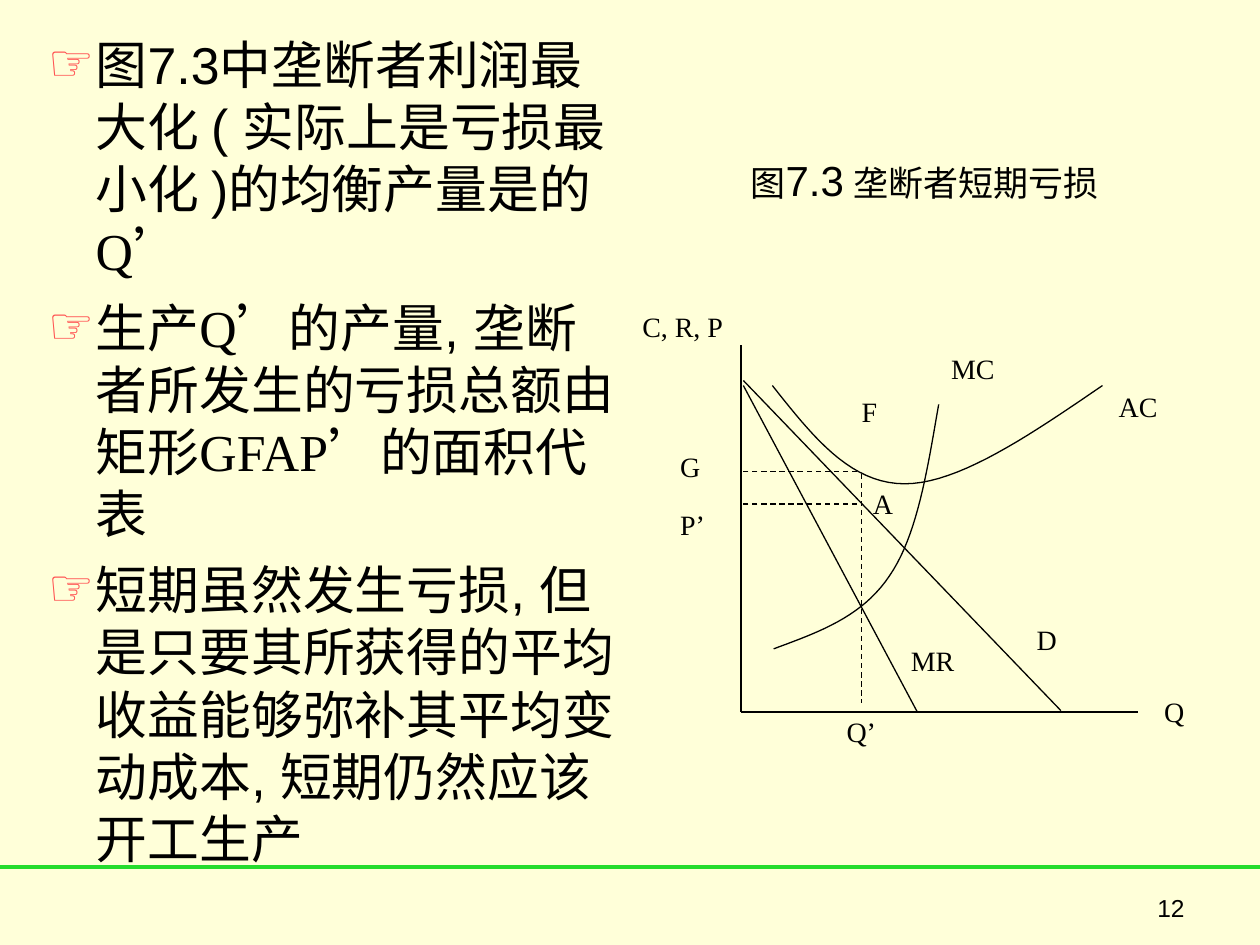
from lxml import etree
from pptx import Presentation
from pptx import util as u
from pptx.dml.color import RGBColor
from pptx.enum import dml, shapes, text
from pptx.oxml import ns

# Content: each paragraph is a list of (text, font role) runs
BODY = [
    [("图7.3中垄断者利润最大化 ( 实际上是亏损最小化 )的均衡产量是的", "sans"), ("Q’", "serif")],
    [("生产", "sans"), ("Q’", "serif"), ("的产量, 垄断者所发生的亏损总额由矩形", "sans"),
     ("GFAP’", "serif"), ("的面积代表", "sans")],
    [("短期虽然发生亏损, 但是只要其所获得的平均收益能够弥补其平均变动成本, 短期仍然应该开工生产", "sans")],
]
CAPTION = [("图", 20), ("7.3", 24), (" 垄断者短期亏损", 20)]
PAGE_NUMBER = "12"

# Diagram content, in inches right of and above the origin of the axes
ORIGIN = (5.88, 5.65)
QUANTITY, PRICE, COST = 0.96, 1.65, 1.91
SOLID_LINES = [
    ((0, 2.91), (0, 0)),            # cost and price axis
    ((0, 0), (3.15, 0)),            # quantity axis
    ((0.02, 2.63), (2.54, 0.01)),   # demand
    ((0.02, 2.59), (1.4, 0)),       # marginal revenue
]
DASHED_LINES = [
    ((QUANTITY, COST - 0.02), (QUANTITY, 0.07)),
    ((QUANTITY - 0.04, PRICE), (0.02, PRICE)),
    ((QUANTITY - 0.04, COST), (0.02, COST)),
]
CURVES = [  # start, then two Bezier segments of three points each
    [(1.57, 2.44), (1.48, 1.92), (1.4, 1.4), (1.18, 1.08),
     (0.96, 0.75), (0.61, 0.63), (0.26, 0.5)],       # marginal cost
    [(0.25, 2.59), (0.56, 2.2), (0.86, 1.81), (1.3, 1.81),
     (1.73, 1.81), (2.3, 2.2), (2.87, 2.59)],        # average cost
]
LABELS = [  # text, left, top, width
    ("MC", 1.57, 2.91, 0.79), ("AC", 2.9, 2.61, 0.61), ("Q’", 0.74, 0.03, 0.55),
    ("C, R, P", -0.88, 3.24, 0.9), ("Q", 3.26, 0.19, 0.51), ("D", 2.25, 0.76, 0.54),
    ("MR", 1.25, 0.59, 0.61), ("P’", -0.58, 1.67, 0.54), ("A", 0.95, 1.84, 0.43),
    ("F", 0.86, 2.57, 0.43), ("G", -0.58, 2.13, 0.42),
]
LABEL_HEIGHT = 0.42

THEME = {
    "background": RGBColor(0xFF, 0xFF, 0xD9), "ink": RGBColor(0, 0, 0),
    "rule": RGBColor(0x24, 0xDC, 0x2D), "bullet": "FF5050",
    "sans": "Arial", "serif": "Times New Roman",
    "body_size": 29.6, "label_size": 16, "page_size": 14,
}


def on_page(point):
    return u.Inches(ORIGIN[0] + point[0]), u.Inches(ORIGIN[1] - point[1])


def style_font(font, face, size):
    font.name, font.size = THEME[face], u.Pt(size)
    font.color.rgb = THEME["ink"]


def add_line(parent, start, end, color="ink", width=0.75, dashed=False):
    line = parent.add_connector(shapes.MSO_CONNECTOR.STRAIGHT, *start, *end)
    line.line.color.rgb, line.line.width = THEME[color], u.Pt(width)
    if dashed:
        line.line.dash_style = dml.MSO_LINE.DASH
    etree.SubElement(line._element.spPr, ns.qn("a:effectLst"))


def add_text(parent, left, top, width, height, align, wrap=True):
    frame = parent.add_textbox(left, top, u.Inches(width), u.Inches(height)).text_frame
    frame.word_wrap = wrap
    frame.paragraphs[0].alignment = align
    return frame


def bezier_points(curve, steps=20):
    points = [curve[0]]
    for first in range(0, len(curve) - 1, 3):
        a, b, c, d = curve[first:first + 4]
        for step in range(1, steps + 1):
            t = step / steps
            s = 1 - t
            points.append(tuple(
                s**3 * a[i] + 3 * s * s * t * b[i] + 3 * s * t * t * c[i] + t**3 * d[i]
                for i in (0, 1)))
    return points


def add_bullet(paragraph):
    properties = paragraph._p.get_or_add_pPr()
    properties.set("marL", str(u.Inches(0.46)))
    properties.set("indent", str(u.Inches(-0.38)))
    color = etree.SubElement(properties, ns.qn("a:buClr"))
    etree.SubElement(color, ns.qn("a:srgbClr"), val=THEME["bullet"])
    etree.SubElement(properties, ns.qn("a:buFont"), typeface=THEME["sans"])
    etree.SubElement(properties, ns.qn("a:buChar"), char="☞")


def add_body(slide):
    body = slide.placeholders[1]
    body.left, body.top, body.width, body.height = map(u.Inches, (0.2, 0.21, 4.88, 6.54))
    frame = body.text_frame
    frame.auto_size = text.MSO_AUTO_SIZE.NONE
    for index, runs in enumerate(BODY):
        paragraph = frame.add_paragraph() if index else frame.paragraphs[0]
        add_bullet(paragraph)
        paragraph.space_before = u.Pt(8 if index else 0)
        for content, face in runs:
            run = paragraph.add_run()
            run.text = content
            style_font(run.font, face, THEME["body_size"])


def add_diagram(slide):
    group = slide.shapes.add_group_shape().shapes
    for lines, dashed in ((SOLID_LINES, False), (DASHED_LINES, True)):
        for start, end in lines:
            add_line(group, on_page(start), on_page(end), dashed=dashed)
    for curve in CURVES:
        points = [on_page(point) for point in bezier_points(curve)]
        builder = group.build_freeform(*points[0])
        builder.add_line_segments(points[1:], close=False)
        shape = builder.convert_to_shape()
        shape.shadow.inherit = False
        shape.fill.background()
        shape.line.color.rgb, shape.line.width = THEME["ink"], u.Pt(0.75)
    for content, left, top, width in LABELS:
        frame = add_text(group, *on_page((left, top)), width, LABEL_HEIGHT,
                         text.PP_ALIGN.JUSTIFY)
        paragraph = frame.paragraphs[0]
        paragraph.text = content
        style_font(paragraph.font, "serif", THEME["label_size"])


def main():
    presentation = Presentation()
    presentation.slide_width, presentation.slide_height = u.Inches(10), u.Inches(7.5)
    slide = presentation.slides.add_slide(presentation.slide_layouts[1])
    slide.background.fill.solid()
    slide.background.fill.fore_color.rgb = THEME["background"]
    title = slide.shapes.title._element
    title.getparent().remove(title)

    # Footer rule, body text and diagram
    rule_top = u.Inches(6.88)
    add_line(slide.shapes, (0, rule_top), (presentation.slide_width, rule_top), "rule", 2.25)
    add_body(slide)
    add_diagram(slide)

    # Diagram caption
    frame = add_text(slide.shapes, u.Inches(5.79), u.Inches(1.18), 3.1, 0.5,
                     text.PP_ALIGN.CENTER, wrap=False)
    frame.vertical_anchor = text.MSO_ANCHOR.MIDDLE
    for content, size in CAPTION:
        run = frame.paragraphs[0].add_run()
        run.text = content
        style_font(run.font, "sans", size)

    # Page number
    frame = add_text(slide.shapes, u.Inches(8.15), u.Inches(7.04), 1.35, 0.52,
                     text.PP_ALIGN.RIGHT)
    frame.paragraphs[0].text = PAGE_NUMBER
    style_font(frame.paragraphs[0].font, "sans", THEME["page_size"])

    presentation.save("out.pptx")


if __name__ == "__main__":
    main()
